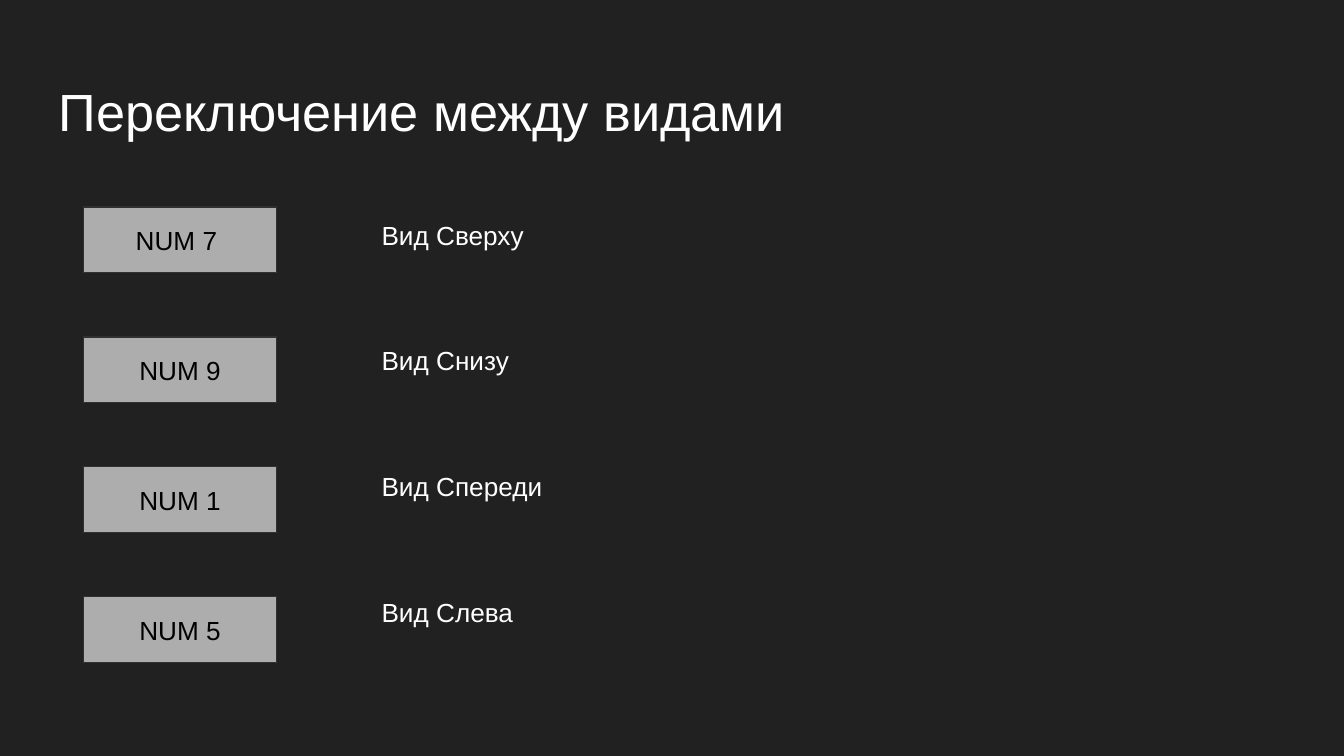
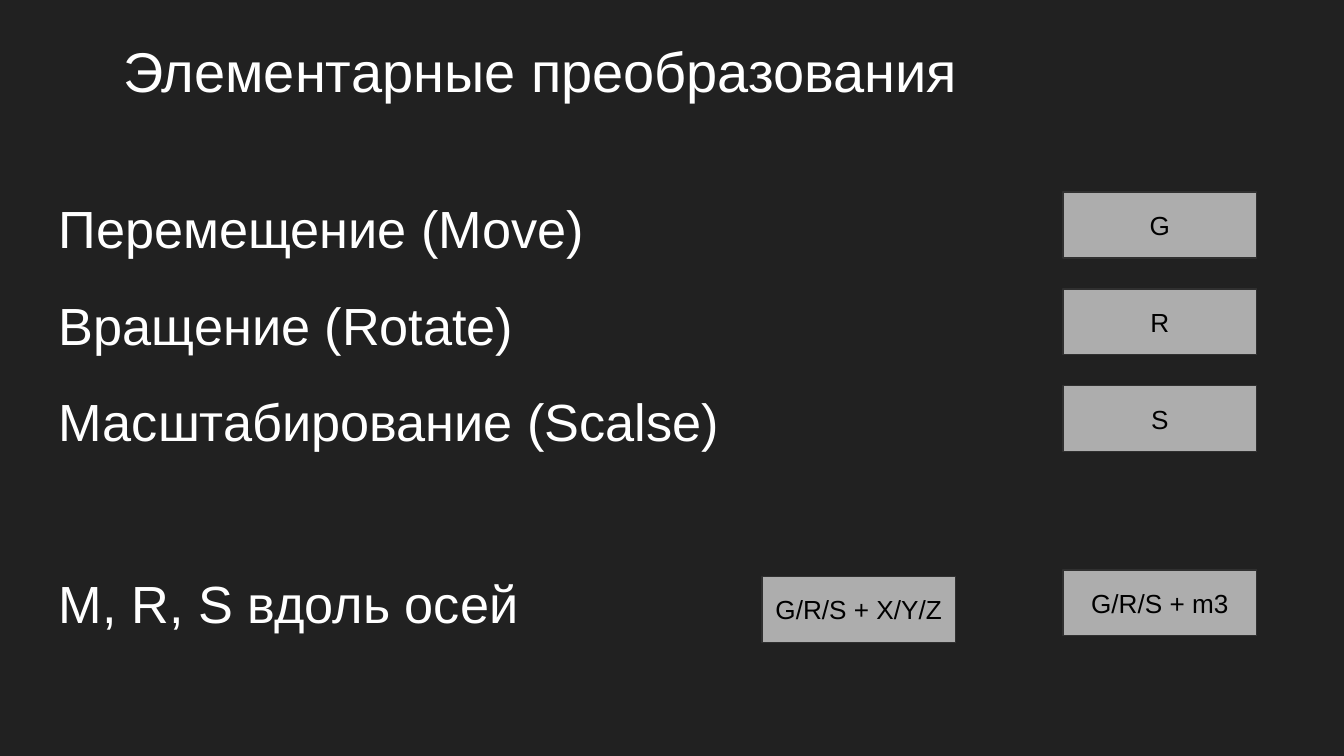
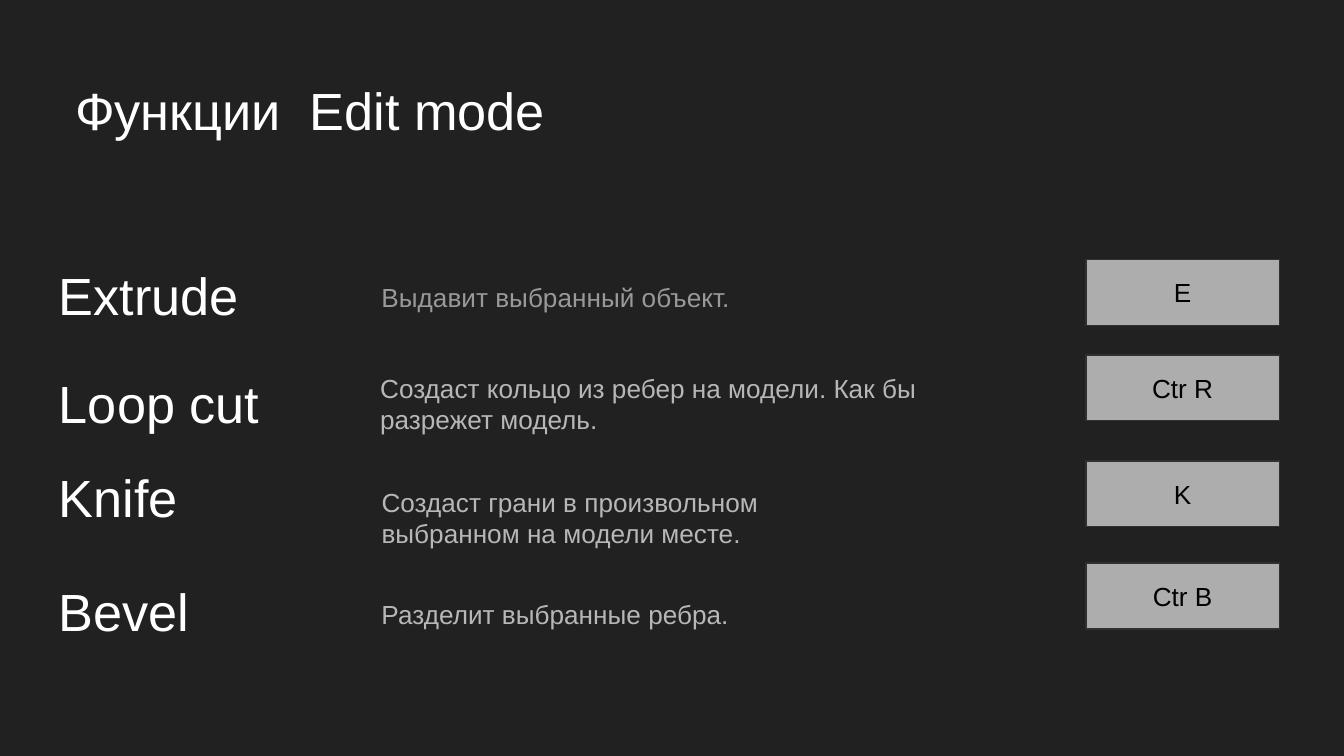
from dataclasses import dataclass

from pptx import Presentation
from pptx.dml.color import RGBColor
from pptx.enum.shapes import MSO_SHAPE
from pptx.enum.text import MSO_ANCHOR, PP_ALIGN
from pptx.util import Inches, Pt

# Content: views
VIEWS = {
    "title": "Переключение между видами",
    "rows": [
        ("NUM 7 ", "Вид Сверху"),
        ("NUM 9", "Вид Снизу"),
        ("NUM 1", "Вид Спереди"),
        ("NUM 5", "Вид Слева"),
    ],
}

# Content: moves, as name and key, then the keys along an axis
MOVES = {
    "title": "Элементарные преобразования",
    "rows": [
        ("Перемещение (Move)", "G"),
        ("Вращение (Rotate)", "R"),
        ("Масштабирование (Scalse)", "S"),
    ],
    "axis": "M, R, S вдоль осей",
    "keys": [("G/R/S + X/Y/Z", 5.67, 4.29), ("G/R/S + m3", 7.91, 4.24)],
}

# Content: tools, as name and top, key and top, note with its box and tone
TOOLS = {
    "title": "Функции  Edit mode",
    "rows": [
        ("Extrude", 1.86, "E", 1.93,
         "Выдавит выбранный объект.", (2.74, 1.99, 4.2, 0.49), "dim"),
        ("Loop cut", 2.66, "Ctr R", 2.64,
         "Создаст кольцо из ребер на модели. Как бы разрежет модель.",
         (2.73, 2.67, 4.55, 0.44), "soft"),
        ("Knife", 3.36, "K", 3.43,
         "Создаст грани в произвольном выбранном на модели месте.",
         (2.74, 3.52, 3.89, 0.44), "soft"),
        ("Bevel", 4.21, "Ctr B", 4.19,
         "Разделит выбранные ребра.", (2.74, 4.35, 3.33, 0.44), "soft"),
    ],
}


@dataclass(frozen=True)
class Theme:
    font: str = "Arial"
    back: str = "212121"
    white: str = "FFFFFF"
    black: str = "000000"
    soft: str = "B7B7B7"
    dim: str = "999999"
    key: str = "ADADAD"
    edge: str = "303030"
    head: int = 30
    name: int = 28
    body: int = 14
    line: float = 0.75
    gap: float = 50.6


T = Theme()
LEFT = 0.34
NAME_W, NAME_H = 9.32, 0.63
KEY_W, KEY_H = 1.44, 0.49


def paint(item, **look):
    for name, value in look.items():
        setattr(item, name, value)


def color(code):
    return RGBColor.from_string(code)


def write(shape, lines, size, tone, align=PP_ALIGN.LEFT,
          anchor=MSO_ANCHOR.TOP, gap=0):
    frame = shape.text_frame
    pad = Inches(0.1)
    paint(frame, word_wrap=True, vertical_anchor=anchor, margin_left=pad,
          margin_top=pad, margin_right=pad, margin_bottom=pad)
    for i, line in enumerate(lines):
        para = frame.add_paragraph() if i else frame.paragraphs[0]
        paint(para, alignment=align, space_before=Pt(gap if i else 0))
        run = para.add_run()
        run.text = line
        paint(run.font, name=T.font, size=Pt(size))
        run.font.color.rgb = color(tone)


def add_text(slide, lines, box, size=T.body, tone=T.white, gap=0):
    shape = slide.shapes.add_textbox(*map(Inches, box))
    write(shape, lines, size, tone, gap=gap)


def add_name(slide, text, top, left=LEFT):
    add_text(slide, [text], (left, top, NAME_W, NAME_H), T.name)


def add_key(slide, text, left, top):
    box = map(Inches, (left, top, KEY_W, KEY_H))
    shape = slide.shapes.add_shape(MSO_SHAPE.RECTANGLE, *box)
    shape.shadow.inherit = False
    shape.fill.solid()
    shape.fill.fore_color.rgb = color(T.key)
    shape.line.color.rgb = color(T.edge)
    shape.line.width = Pt(T.line)
    write(shape, [text], T.body, T.black, PP_ALIGN.CENTER, MSO_ANCHOR.MIDDLE)


def draw_views(slide):
    add_name(slide, VIEWS["title"], 0.49)
    for i, (key, _) in enumerate(VIEWS["rows"]):
        add_key(slide, key, 0.62, 1.54 + i * 2.9 / 3)
    views = [view for _, view in VIEWS["rows"]]
    add_text(slide, views, (2.74, 1.53, 5.79, 0.63), gap=T.gap)


def draw_moves(slide):
    add_text(slide, [MOVES["title"]], (0.82, 0.17, 6.93, 0.37), T.head)
    for i, (name, key) in enumerate(MOVES["rows"]):
        top = 1.36 + i * 0.72
        add_name(slide, name, top)
        add_key(slide, key, 7.91, top + 0.07)
    add_name(slide, MOVES["axis"], 4.15)
    for key in MOVES["keys"]:
        add_key(slide, *key)


def draw_tools(slide):
    add_name(slide, TOOLS["title"], 0.48, 0.46)
    for name, top, key, key_top, note, box, tone in TOOLS["rows"]:
        add_name(slide, name, top)
        add_key(slide, key, 8.08, key_top)
        add_text(slide, [note], box, tone=getattr(T, tone))


def main():
    deck = Presentation()
    wide = Inches(10)
    paint(deck, slide_width=wide, slide_height=wide * 9 // 16)
    # Shared dark background
    fill = deck.slide_master.background.fill
    fill.solid()
    fill.fore_color.rgb = color(T.back)
    for draw in (draw_views, draw_moves, draw_tools):
        draw(deck.slides.add_slide(deck.slide_layouts[6]))
    deck.save("out.pptx")


if __name__ == "__main__":
    main()
